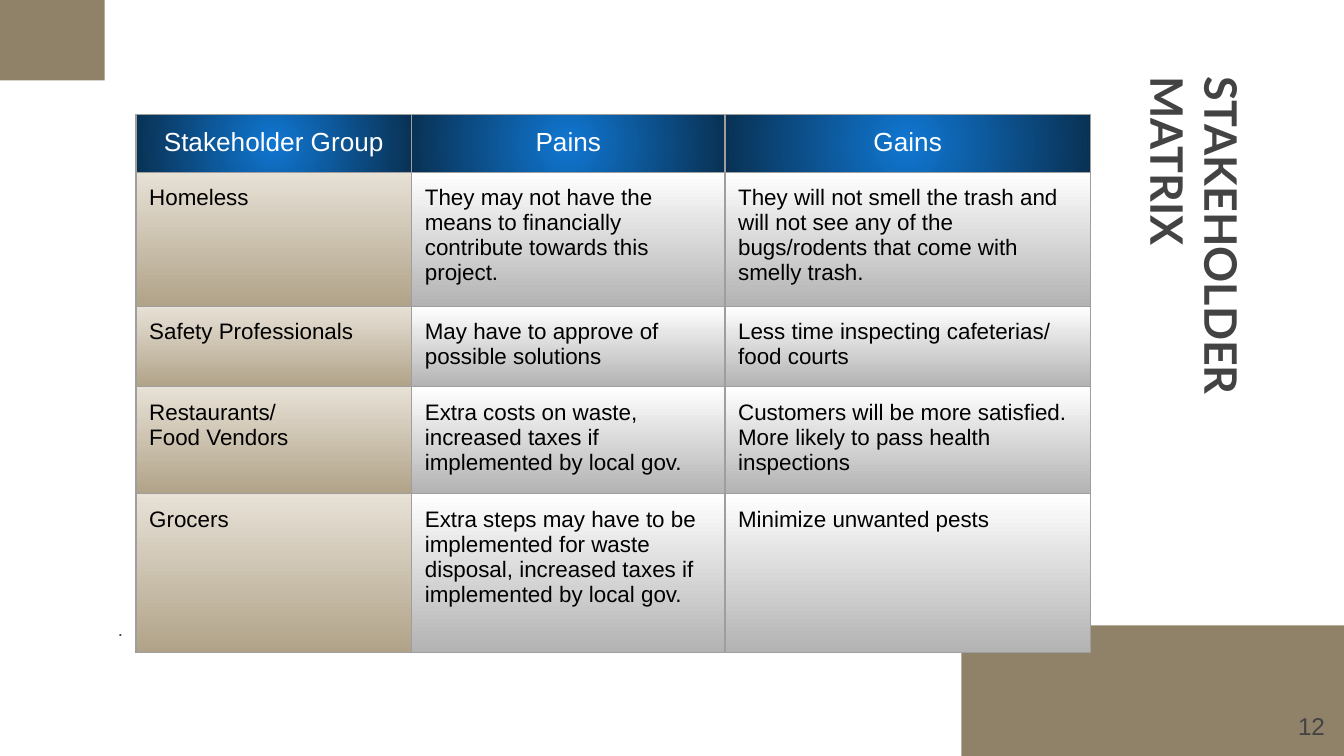
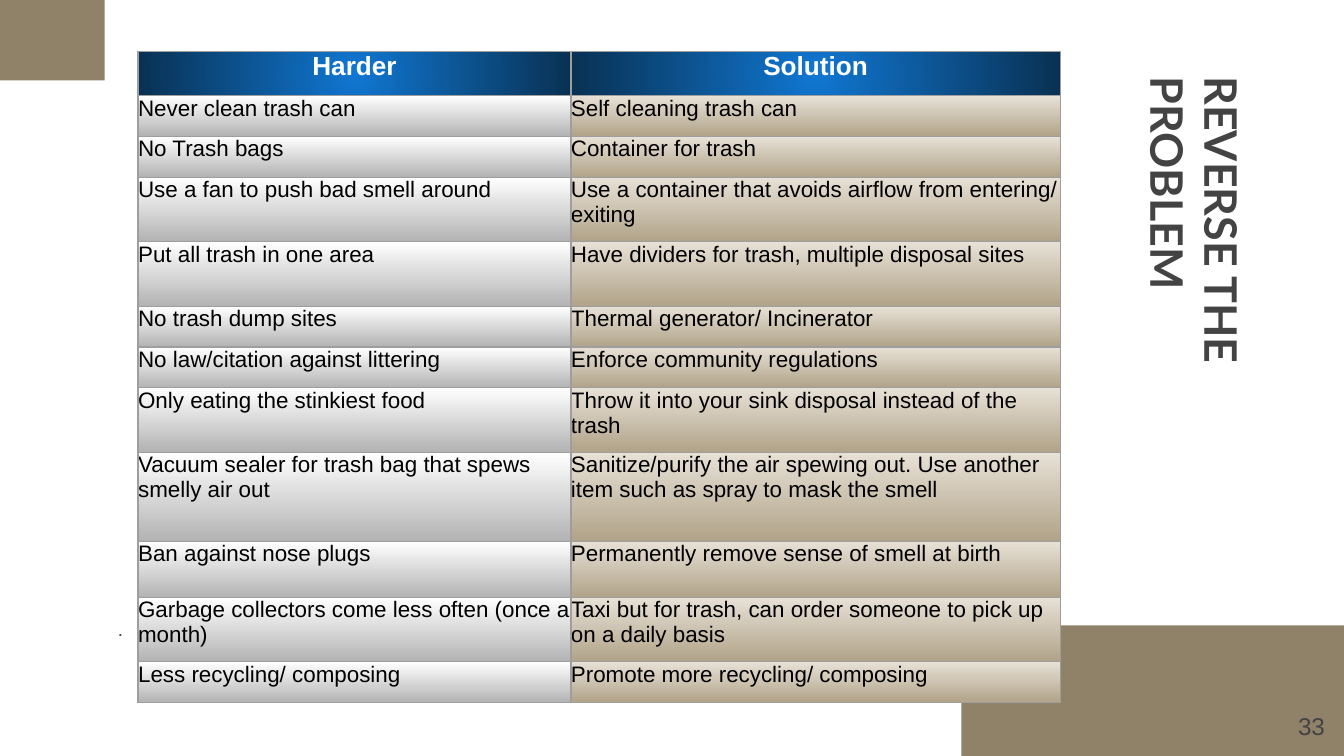
from lxml.etree import SubElement
from pptx import Presentation
from pptx.dml.color import RGBColor
from pptx.enum.shapes import MSO_SHAPE
from pptx.enum.text import MSO_ANCHOR as ANCHOR, PP_ALIGN as ALIGN
from pptx.oxml.ns import qn
from pptx.util import Cm, Pt

COLORS = {
    "band": "908269", "text": "434343", "cell": "000000",
    "header": "FFFFFF", "border": "9E9E9E",
}
# Gradients run from the first colour to the second
GRADIENTS = {
    "blue": ("1077D2", "093153"),
    "tan": ("E7E1D6", "B1A389"),
    "gray": ("FFFFFF", "B3B3B3"),
}
INSET = 0.25


class Deck:
    """Holds the style and the slide being built."""

    def __init__(self):
        self.prs = Presentation()
        self.prs.slide_width, self.prs.slide_height = Cm(25.4), Cm(14.29)
        self.s = None

    def new_slide(self, title, number):
        self.s = self.prs.slides.add_slide(self.prs.slide_layouts[6])
        self.text(title, 18.34, 5.36, 9.68, 1.35, 24, font="Lato", bold=True, rotation=90)
        self.band(0, 0, 1.98, 1.52)
        self.band(18.17, 11.82, 7.23, 2.47)
        self.text(".", 1.98, 11.46, 17.27, 1.45, 10)
        self.text(number, 23.77, 13.18, 1.52, 1.09, 13, align=ALIGN.RIGHT, anchor=ANCHOR.MIDDLE)

    def band(self, x, y, w, h):
        sp = self.s.shapes.add_shape(MSO_SHAPE.RECTANGLE, Cm(x), Cm(y), Cm(w), Cm(h))
        sp.shadow.inherit = False
        sp.fill.solid()
        sp.fill.fore_color.rgb = RGBColor.from_string(COLORS["band"])
        sp.line.fill.background()

    def add_lines(self, tf, text, size, color, font="Arial", bold=False, align=ALIGN.LEFT):
        for i, line in enumerate(text.split("\n")):
            p = tf.add_paragraph() if i else tf.paragraphs[0]
            p.alignment = align
            r = p.add_run()
            r.text = line
            r.font.name, r.font.size, r.font.bold = font, Pt(size), bold
            r.font.color.rgb = RGBColor.from_string(COLORS[color])

    def text(self, text, x, y, w, h, size, anchor=ANCHOR.TOP, rotation=0, **style):
        sp = self.s.shapes.add_textbox(Cm(x), Cm(y), Cm(w), Cm(h))
        sp.rotation = rotation
        tf = sp.text_frame
        tf.word_wrap = True
        tf.vertical_anchor = anchor
        tf.margin_left = tf.margin_right = tf.margin_top = tf.margin_bottom = Cm(INSET)
        self.add_lines(tf, text, size, "text", **style)

    def paint(self, cell, gradient):
        """Borders first, then the gradient: the order the file format asks for."""
        tc_pr = cell._tc.get_or_add_tcPr()
        for side in ("a:lnL", "a:lnR", "a:lnT", "a:lnB"):
            ln = SubElement(tc_pr, qn(side), w=str(Pt(0.75)))
            solid = SubElement(ln, qn("a:solidFill"))
            SubElement(solid, qn("a:srgbClr"), val=COLORS["border"])
        fill = SubElement(tc_pr, qn("a:gradFill"))
        stops = SubElement(fill, qn("a:gsLst"))
        for pos, color in zip(("0", "100000"), GRADIENTS[gradient]):
            gs = SubElement(stops, qn("a:gs"), pos=pos)
            SubElement(gs, qn("a:srgbClr"), val=color)
        if gradient == "blue":
            center = SubElement(fill, qn("a:path"), {"path": "circle"})
            SubElement(center, qn("a:fillToRect"), l="50000", t="50000", r="50000", b="50000")
        else:
            SubElement(fill, qn("a:lin"), ang="5400000", scaled="0")

    def table(self, x, y, widths, heights, rows, gradients, inset, bold_header=False):
        tbl = self.s.shapes.add_table(len(rows), len(widths), Cm(x), Cm(y),
                                      Cm(sum(widths)), Cm(sum(heights))).table
        tbl.first_row = tbl.horz_banding = False
        for col, w in zip(tbl.columns, widths):
            col.width = Cm(w)
        for i, (h, texts) in enumerate(zip(heights, rows)):
            tbl.rows[i].height = Cm(h)
            for j, text in enumerate(texts):
                cell = tbl.cell(i, j)
                cell.margin_left = cell.margin_right = Cm(inset)
                cell.margin_top = cell.margin_bottom = Cm(inset)
                if i == 0:
                    self.add_lines(cell.text_frame, text, 14, "header",
                                   bold=bold_header, align=ALIGN.CENTER)
                else:
                    self.add_lines(cell.text_frame, text, 12, "cell")
                self.paint(cell, gradients[j] if i else "blue")


STAKEHOLDERS = [
    ("Stakeholder Group", "Pains", "Gains"),
    ("Homeless",
     "They may not have the means to financially contribute towards this project.",
     "They will not smell the trash and will not see any of the bugs/rodents "
     "that come with smelly trash."),
    ("Safety Professionals", "May have to approve of possible solutions",
     "Less time inspecting cafeterias/ food courts"),
    ("Restaurants/\nFood Vendors",
     "Extra costs on waste, increased taxes if implemented by local gov.",
     "Customers will be more satisfied. More likely to pass health inspections"),
    ("Grocers",
     "Extra steps may have to be implemented for waste disposal, increased taxes "
     "if implemented by local gov.",
     "Minimize unwanted pests"),
]

REVERSALS = [
    ("Harder", "Solution"),
    ("Never clean trash can", "Self cleaning trash can"),
    ("No Trash bags", "Container for trash"),
    ("Use a fan to push bad smell around",
     "Use a container that avoids airflow from entering/ exiting"),
    ("Put all trash in one area", "Have dividers for trash, multiple disposal sites"),
    ("No trash dump sites", "Thermal generator/ Incinerator"),
    ("No law/citation against littering", "Enforce community regulations"),
    ("Only eating the stinkiest food",
     "Throw it into your sink disposal instead of the trash"),
    ("Vacuum sealer for trash bag that spews smelly air out",
     "Sanitize/purify the air spewing out. Use another item such as spray to mask the smell"),
    ("Ban against nose plugs", "Permanently remove sense of smell at birth"),
    ("Garbage collectors come less often (once a month)",
     "Taxi but for trash, can order someone to pick up on a daily basis"),
    ("Less recycling/ composing", "Promote more recycling/ composing"),
]


def main():
    deck = Deck()

    # Stakeholder matrix
    deck.new_slide("STAKEHOLDER MATRIX", "12")
    deck.table(2.57, 2.16, (5.21, 5.92, 6.91), (1.09, 2.24, 1.47, 1.9, 3),
               STAKEHOLDERS, ("tan", "gray", "gray"), INSET)

    # Reverse the problem
    deck.new_slide("REVERSE THE PROBLEM", "33")
    one_line, two_lines = 0.77, 1.22
    heights = (0.84, one_line, one_line, two_lines, two_lines, one_line, one_line,
               two_lines, 1.68, 1.06, two_lines, one_line)
    deck.table(2.61, 0.97, (8.18, 9.25), heights, REVERSALS, ("gray", "tan"), 0,
               bold_header=True)

    deck.prs.save("out.pptx")


if __name__ == "__main__":
    main()
